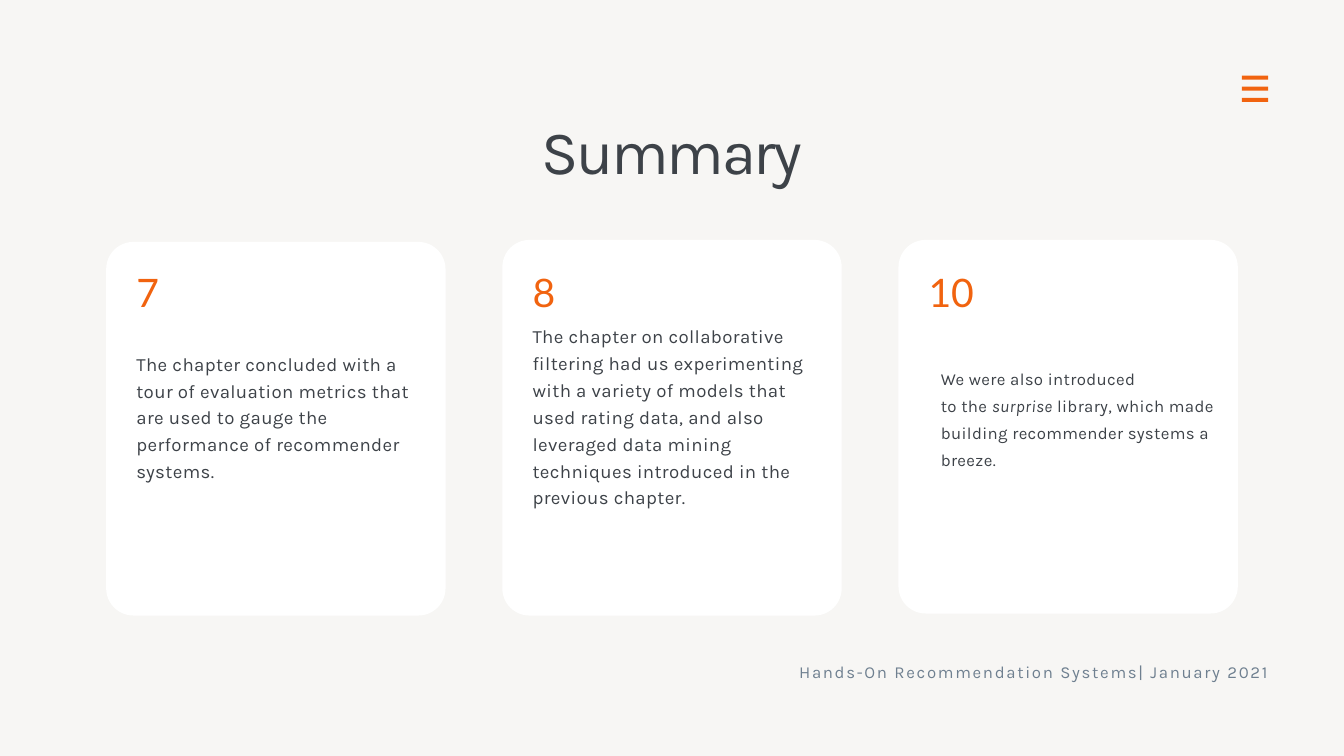
from pptx import Presentation
from pptx.dml.color import RGBColor
from pptx.enum.shapes import MSO_SHAPE
from pptx.enum.text import MSO_AUTO_SIZE, PP_ALIGN
from pptx.util import Inches, Pt

RECT, ROUND = MSO_SHAPE.RECTANGLE, MSO_SHAPE.ROUNDED_RECTANGLE
LEFT, MID, RIGHT = PP_ALIGN.LEFT, PP_ALIGN.CENTER, PP_ALIGN.RIGHT
GROW = MSO_AUTO_SIZE.SHAPE_TO_FIT_TEXT

COLORS = {"back": "F7F6F4", "card": "FFFFFF", "accent": "F1630F",
          "ink": "3D4248", "muted": "6F8090"}
CARD_W, STEP, RADIUS = 5.05, 5.895, 0.405

# number, card top, card height, body offset, body top, body height, size, lines
CARDS = [
    ("7", 3.6, 5.56, 0.45, 5.18, 2, 20,
     ["The chapter concluded with a tour of evaluation metrics that are used "
      "to gauge the performance of recommender systems."]),
    ("8", 3.57, 5.59, 0.45, 4.77, 2.81, 20,
     ["The chapter on collaborative filtering had us experimenting with a "
      "variety of models that used rating data, and also leveraged data mining",
      "techniques introduced in the previous chapter."]),
    ("10", 3.57, 5.56, 0.63, 5.39, 1.59, 18,
     ["We were also introduced",
      [("to the ", False), ("surprise", True),
       (" library, which made building recommender systems a", False)],
      "breeze."]),
]


def color(name):
    return RGBColor.from_string(COLORS[name])


def write(frame, lines, size=20, font="Karla", ink="ink", gap=0.4,
          lead=28.8, align=LEFT):
    """Fill a frame; a line is a string or a list of (text, italic) pairs."""
    for i, line in enumerate(lines):
        para = frame.paragraphs[0] if i == 0 else frame.add_paragraph()
        para.alignment = align
        para.line_spacing = Pt(lead)
        parts = [(line, False)] if isinstance(line, str) else line
        for text, slant in parts:
            run = para.add_run()
            run.text = text
            run.font.size = Pt(size)
            run.font.name = font
            run.font.italic = slant
            run.font.color.rgb = color(ink)
            run._r.get_or_add_rPr().set("spc", str(round(gap * 100)))


class Page:
    def __init__(self, slide):
        self.slide = slide
        fill = slide.background.fill
        fill.solid()
        fill.fore_color.rgb = color("back")

    def block(self, kind, x, y, w, h, fill):
        shape = self.slide.shapes.add_shape(
            kind, Inches(x), Inches(y), Inches(w), Inches(h))
        shape.shadow.inherit = False
        shape.fill.solid()
        shape.fill.fore_color.rgb = color(fill)
        shape.line.fill.background()
        return shape

    def text(self, x, y, w, h, lines, **style):
        frame = self.slide.shapes.add_textbox(
            Inches(x), Inches(y), Inches(w), Inches(h)).text_frame
        frame.margin_left = frame.margin_right = 0
        frame.margin_top = frame.margin_bottom = 0
        frame.word_wrap = True
        frame.auto_size = GROW
        write(frame, lines, **style)

    def menu(self, x, y):
        for i in range(3):
            self.block(RECT, x, y + i * 0.165, 0.39, 0.06, "accent")

    def card(self, x, number, top, high, shift, y, h, size, lines):
        box = self.block(ROUND, x, top, CARD_W, high, "card")
        box.adjustments[0] = RADIUS / CARD_W
        self.text(x + 0.45, 3.87, 0.84, 0.76, [number], size=42,
                  font="Lato", ink="accent", gap=-0.4, lead=58.8)
        self.text(x + shift, y, 4.16, h, lines, size=size)


def main():
    deck = Presentation()
    deck.slide_width, deck.slide_height = Inches(20), Inches(11.25)
    page = Page(deck.slides.add_slide(deck.slide_layouts[6]))
    page.menu(18.48, 1.125)
    for i, card in enumerate(CARDS):
        page.card(1.58 + i * STEP, *card)
    page.text(2.99, 1.56, 14.02, 1.17, ["Summary"], size=66, gap=-2.4,
              lead=88, align=MID)
    page.text(11.17, 9.8, 7.7, 0.32,
              ["Hands-On Recommendation Systems| January 2021"], size=18,
              ink="muted", gap=1.8, lead=25.2, align=RIGHT)
    deck.save("out.pptx")


if __name__ == "__main__":
    main()
